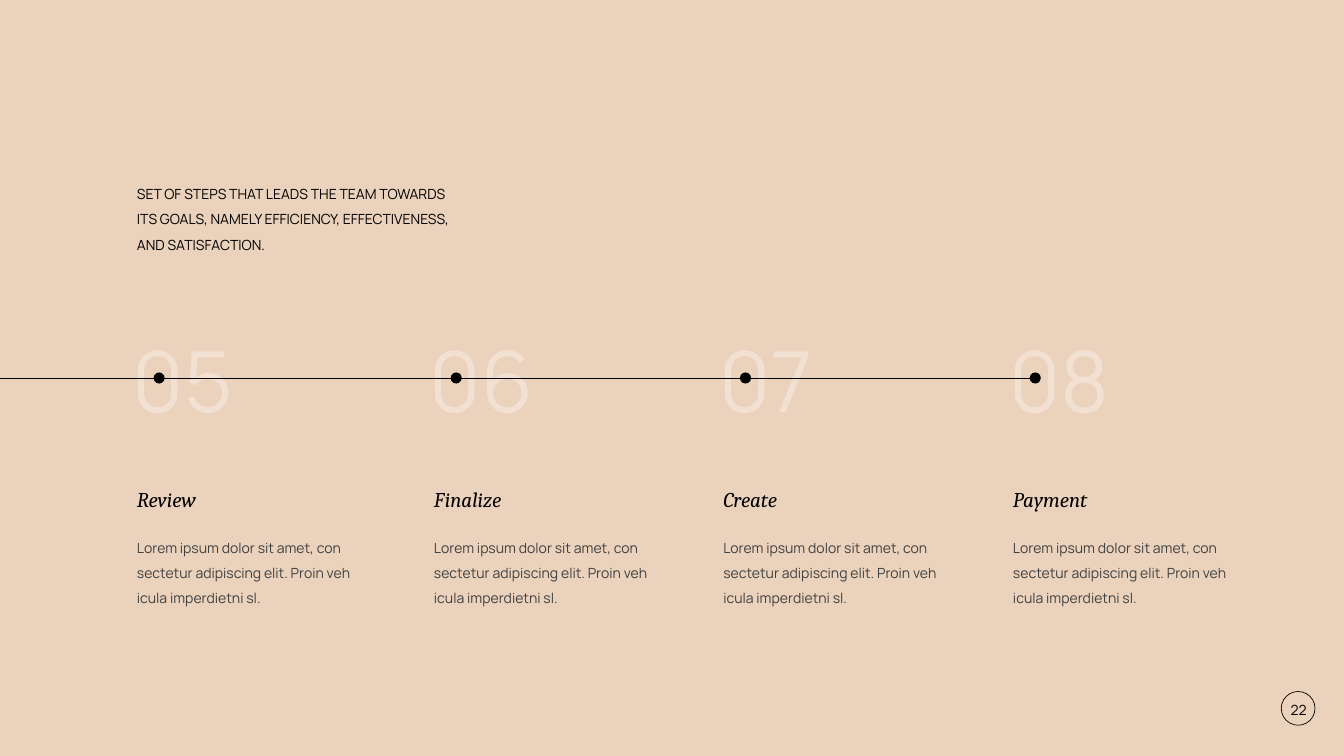
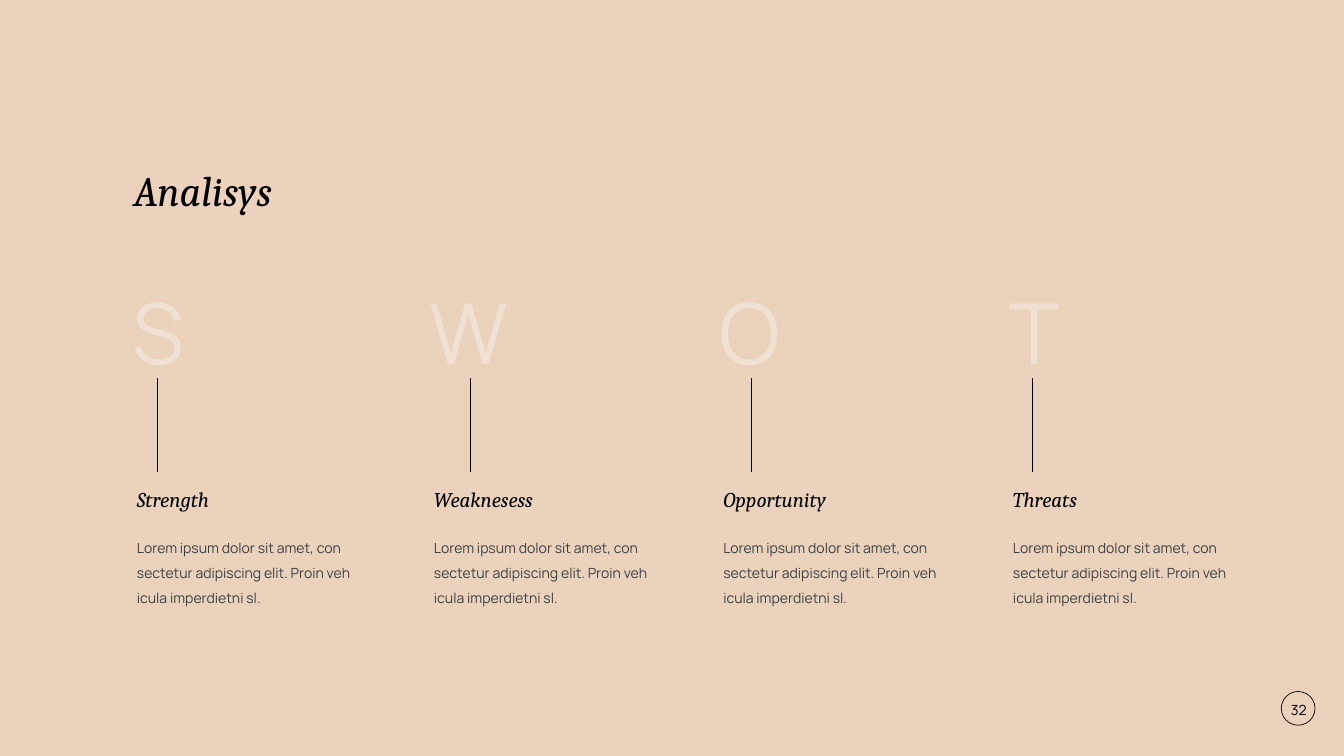
from lxml.etree import SubElement
from pptx import Presentation
from pptx.dml.color import RGBColor
from pptx.enum.shapes import MSO_CONNECTOR as Link, MSO_SHAPE as Shape
from pptx.enum.text import MSO_ANCHOR as Anchor, MSO_AUTO_SIZE as Auto, PP_ALIGN as Align
from pptx.oxml.ns import qn
from pptx.util import Cm, Pt

SAND, PALE, GREY, BLACK = "EBD2BC", "F2E1D2", "404040", "000000"
SANS, SERIF = "Manrope", "Cambria"

LOREM = "Lorem ipsum dolor sit amet, con sectetur adipiscing elit. Proin veh icula imperdietni sl."
INTRO = ("SET OF STEPS THAT LEADS THE TEAM TOWARDS ITS GOALS, "
         "NAMELY EFFICIENCY, EFFECTIVENESS, AND SATISFACTION.")
TITLE = "Analisys"
STEPS = [("05", "Review"), ("06", "Finalize"), ("07", "Create"), ("08", "Payment")]
SWOT = [("S", "Strength"), ("W", "Weaknesess"), ("O", "Opportunity"), ("T", "Threats")]

LEFTS = [6.65, 21.62, 36.2, 50.8]
STEMS = [7.92, 23.7, 37.85, 52.02]
HEAD_Y, BODY_Y, AXIS_Y = 23.77, 26.64, 19.05
DOT, DOT_GAP = 0.56, 1.09
RING = 1.7


def color(code):
    return RGBColor.from_string(code)


def write(slide, text, x, y, w, h, size=20, font=SANS, ink=BLACK, italic=False,
          space=1.5, align=Align.LEFT, anchor=Anchor.TOP, grow=False):
    frame = slide.shapes.add_textbox(Cm(x), Cm(y), Cm(w), Cm(h)).text_frame
    frame.word_wrap = True
    frame.auto_size = Auto.SHAPE_TO_FIT_TEXT if grow else Auto.NONE
    frame.vertical_anchor = anchor
    para = frame.paragraphs[0]
    para.alignment = align
    para.line_spacing = space
    run = para.add_run()
    run.text = text
    run.font.size = Pt(size)
    run.font.name = font
    run.font.italic = italic
    run.font.color.rgb = color(ink)


def disc(slide, x, y, size, fill=None):
    shape = slide.shapes.add_shape(Shape.OVAL, Cm(x), Cm(y), Cm(size), Cm(size))
    shape.shadow.inherit = False
    if fill:
        shape.fill.solid()
        shape.fill.fore_color.rgb = color(fill)
        shape.line.fill.background()
    else:
        shape.fill.background()
        shape.line.color.rgb = color(BLACK)
        shape.line.width = Pt(1)


def rule(slide, x1, y1, x2, y2):
    line = slide.shapes.add_connector(Link.STRAIGHT, Cm(x1), Cm(y1), Cm(x2), Cm(y2))
    line.line.color.rgb = color(BLACK)
    line.line.width = Pt(1)
    SubElement(line._element.spPr, qn("a:effectLst"))


def start(deck, page):
    slide = deck.slides.add_slide(deck.slide_layouts[6])
    slide.background.fill.solid()
    slide.background.fill.fore_color.rgb = color(SAND)
    write(slide, page, 64.57, 34.85, 1.75, 1.42, align=Align.CENTER, anchor=Anchor.MIDDLE)
    disc(slide, 64.57, 34.85, RING)
    return slide


def columns(slide, items, top):
    for x, (mark, name) in zip(LEFTS, items):
        write(slide, mark, x - 0.2, top, 8.74, 5.38, size=120, ink=PALE, space=1.0, grow=True)
        write(slide, LOREM, x, BODY_Y, 12.27, 4.55, ink=GREY)
        write(slide, name, x, HEAD_Y, 11.73, 1.96, size=30, font=SERIF, italic=True)


def timeline(deck):
    slide = start(deck, "22")
    columns(slide, STEPS, 16.43)
    rule(slide, LEFTS[-1] + DOT_GAP, AXIS_Y, 0, AXIS_Y)
    for x in LEFTS:
        disc(slide, x + DOT_GAP, AXIS_Y - DOT / 2, DOT, BLACK)
    write(slide, INTRO, LEFTS[0], 8.81, 16.59, 3.99, grow=True)


def swot(deck):
    slide = start(deck, "32")
    write(slide, TITLE, 6.48, 6.91, 22.3, 3.63, size=60, font=SERIF, italic=True, grow=True)
    columns(slide, SWOT, 14)
    for x in STEMS:
        rule(slide, x, HEAD_Y, x, AXIS_Y)


def main():
    """Build the timeline and SWOT slides."""
    deck = Presentation()
    deck.slide_width, deck.slide_height = Cm(67.73), Cm(38.1)
    timeline(deck)
    swot(deck)
    deck.save("out.pptx")


if __name__ == "__main__":
    main()
